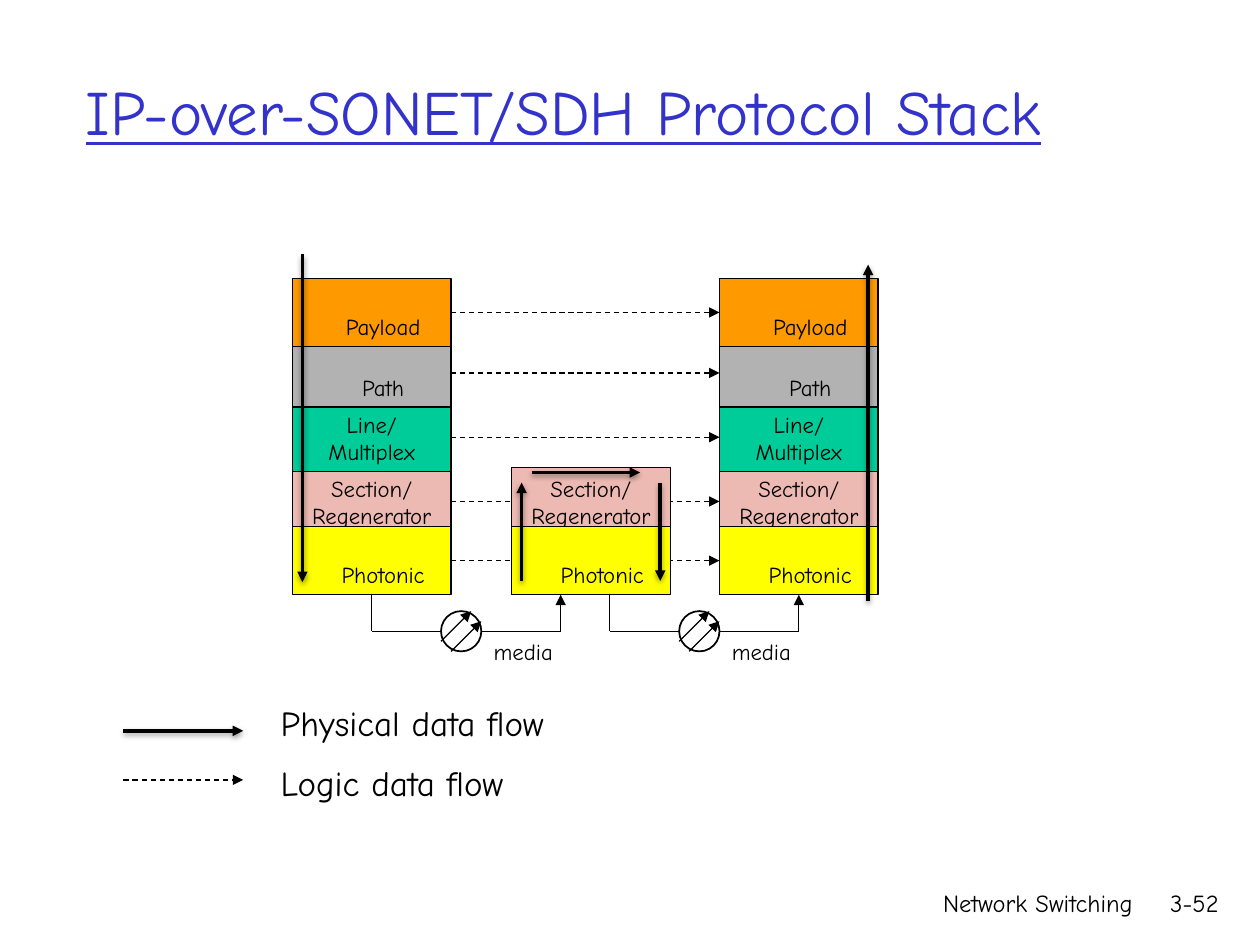
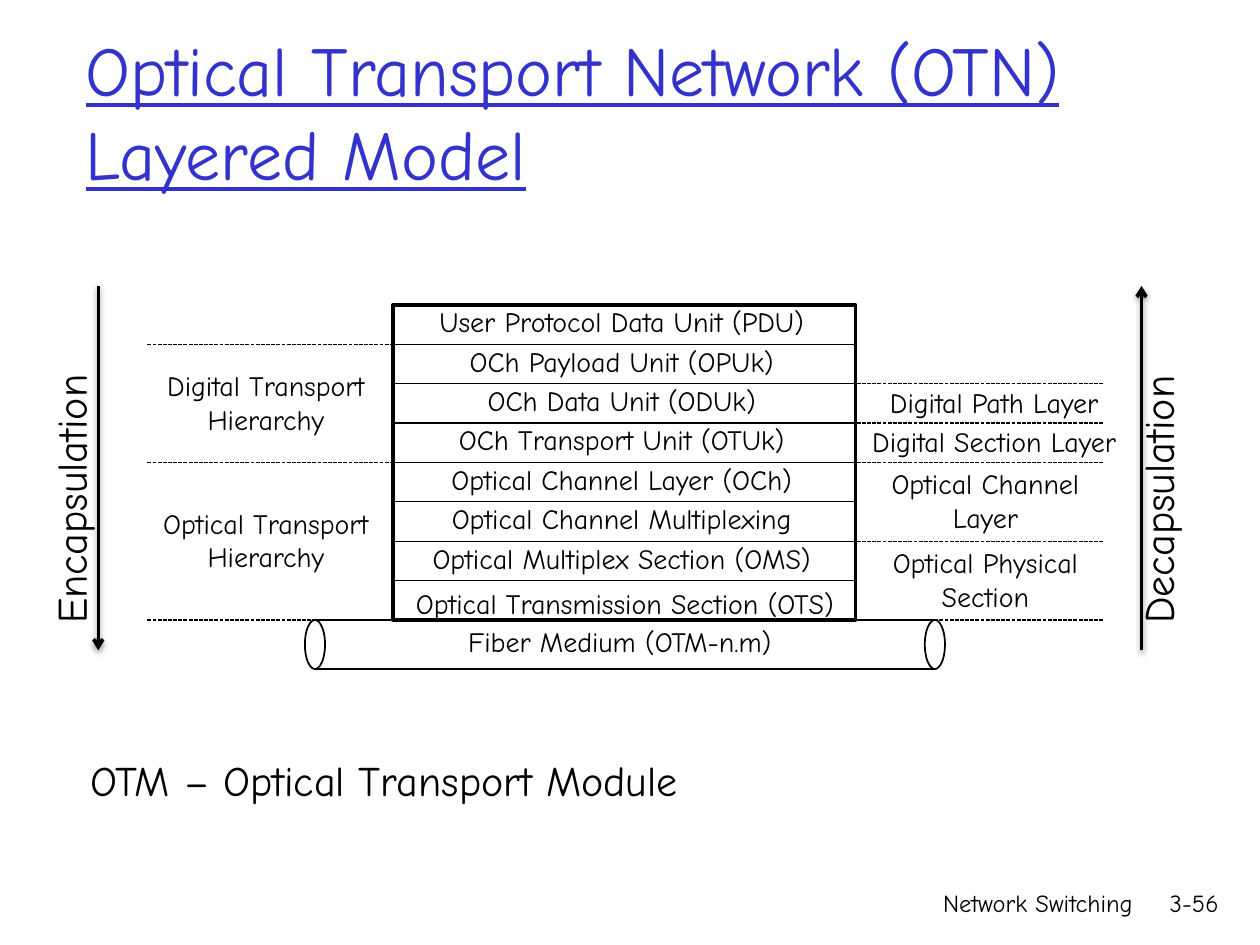
import dataclasses

import lxml.etree
import pptx
import pptx.dml.color
import pptx.enum.dml
import pptx.enum.shapes
import pptx.enum.text
import pptx.oxml.ns
import pptx.util

Inches, Pt = pptx.util.Inches, pptx.util.Pt
SHAPE = pptx.enum.shapes.MSO_SHAPE
DASH = pptx.enum.dml.MSO_LINE.DASH
FINE_DASH = pptx.enum.dml.MSO_LINE.SQUARE_DOT
ALIGN = pptx.enum.text.PP_ALIGN
ANCHOR = pptx.enum.text.MSO_ANCHOR
qn = pptx.oxml.ns.qn


@dataclasses.dataclass(frozen=True)
class Theme:
    font: str = "Comic Neue"
    ink: str = "000000"
    paper: str = "FFFFFF"
    title: str = "3333CC"
    payload: str = "FF9900"
    path_layer: str = "B2B2B2"
    line_layer: str = "00CC99"
    section: str = "ECBAB2"
    photonic: str = "FFFF00"
    layer_size: int = 13
    footer_size: int = 14
    model_size: int = 16
    legend_size: int = 20
    large_size: int = 24
    thin: float = 0.75
    outline: float = 1
    thick: float = 2


THEME = Theme()
FOOTER = "Network Switching"

# Slide 1: name, top, fill, shift of the label to the right
STACK = [
    ("Section/ Regenerator", 3.71, THEME.section, 0),
    ("Line/ Multiplex", 3.2, THEME.line_layer, 0),
    ("Path", 2.69, THEME.path_layer, 0.18),
    ("Payload", 2.21, THEME.payload, 0.18),
    ("Photonic", 4.18, THEME.photonic, 0.18),
]
REPEATER = [STACK[0], STACK[-1]]
LAYER_WIDTH, LAYER_HEIGHT = 1.26, 0.54
SENDER_X, REPEATER_X, RECEIVER_X = 2.32, 4.06, 5.71
LINK_STARTS, LINK_LENGTH = (2.95, 4.84), 1.5
LINK_Y, STACK_BOTTOM = 5.01, 4.72
PHYSICAL_FLOWS = [
    ((2.4, 2.02), (2.4, 4.62)),
    ((6.89, 4.77), (6.89, 2.1)),
    ((4.14, 4.61), (4.14, 3.83)),
    ((5.24, 3.83), (5.24, 4.61)),
    ((4.22, 3.75), (5.08, 3.75)),
    ((0.98, 5.8), (1.93, 5.8)),
]
LEGEND = ["Physical data flow", "Logic data flow"]

# Slide 2: rows from top to bottom, then the bands beside them
MODEL_ROWS = [
    "User Protocol Data Unit (PDU)",
    "OCh Payload Unit (OPUk)",
    "OCh Data Unit (ODUk)",
    "OCh Transport Unit (OTUk)",
    "Optical Channel Layer (OCh)",
    "Optical Channel Multiplexing",
    "Optical Multiplex Section (OMS)",
    "Optical Transmission Section (OTS)",
]
MODEL_X, MODEL_Y, MODEL_WIDTH, MODEL_HEIGHT = 3.12, 2.42, 3.67, 2.5
ROW_HEIGHT = MODEL_HEIGHT / len(MODEL_ROWS)
# name, first row boundary, last row boundary, centre, width
BANDS = [
    ("Digital Transport Hierarchy", 1, 4, 2.11, 2.19),
    ("Optical Transport Hierarchy", 4, 8, 2.11, 2.19),
    ("Digital Path Layer", 2, 3, 7.89, 2.81),
    ("Digital Section Layer", 3, 4, 7.89, 2.81),
    ("Optical Channel Layer", 4, 6, 7.82, 2.19),
    ("Optical Physical Section", 6, 8, 7.82, 2.19),
]
BAND_RULES = [(1.17, (1, 4, 8)), (6.8, (2, 3, 4, 6, 8))]
RULE_LENGTH = 1.95
FIBER_LEFT, FIBER_RIGHT, FIBER_HEIGHT, FIBER_END = 2.5, 7.42, 0.39, 0.16
# name, text left, arrow x, arrow start and end
PROCESSES = [
    ("Encapsulation", 0.25, 0.78, 2.27, 5.16),
    ("Decapsulation", 8.88, 9.06, 5.16, 2.27),
]


def color(value):
    return pptx.dml.color.RGBColor.from_string(value)


def style_text(frame, size, align=ALIGN.LEFT, ink=THEME.ink, underline=None):
    frame.word_wrap = True
    for para in frame.paragraphs:
        para.alignment = align
        for span in para.runs:
            span.font.name = THEME.font
            span.font.size = Pt(size)
            span.font.color.rgb = color(ink)
            span.font.underline = underline


def add_text(page, text, at, size, align=ALIGN.LEFT, anchor=ANCHOR.TOP):
    box = page.shapes.add_textbox(*map(Inches, at))
    box.text_frame.text = text
    box.text_frame.vertical_anchor = anchor
    style_text(box.text_frame, size, align)
    return box


def add_box(page, kind, at, fill, width):
    box = page.shapes.add_shape(kind, *map(Inches, at))
    box.shadow.inherit = False
    box.fill.solid()
    box.fill.fore_color.rgb = color(fill)
    box.line.color.rgb = color(THEME.ink)
    box.line.width = Pt(width)
    return box


def add_line(page, start, end, width=THEME.thin, dash=None, head=None, shadow=False):
    line = page.shapes.add_connector(
        pptx.enum.shapes.MSO_CONNECTOR.STRAIGHT, *map(Inches, (*start, *end)))
    line.line.color.rgb = color(THEME.ink)
    line.line.width = Pt(width)
    if dash:
        line.line.dash_style = dash
    properties = line.element.spPr
    if head:
        lxml.etree.SubElement(properties.find(qn("a:ln")), qn("a:tailEnd"), type=head)
    effects = lxml.etree.SubElement(properties, qn("a:effectLst"))
    if shadow:
        outer = lxml.etree.SubElement(
            effects, qn("a:outerShdw"), blurRad=str(Pt(3.1)), dist=str(Pt(1.6)),
            dir="5400000", rotWithShape="0")
        tint = lxml.etree.SubElement(outer, qn("a:srgbClr"), val=THEME.ink)
        lxml.etree.SubElement(tint, qn("a:alpha"), val="38000")
    return line


def add_flow(page, start, end, head="triangle"):
    """Draw a thick, shadowed arrow."""
    return add_line(page, start, end, THEME.thick, head=head, shadow=True)


def add_page(deck, title, title_size, title_width, number):
    page = deck.slides.add_slide(deck.slide_layouts[5])
    heading = page.shapes.title
    heading.left, heading.top = Inches(0.58), Inches(0.25)
    heading.width, heading.height = Inches(title_width), Inches(1.25)
    frame = heading.text_frame
    frame.text = title
    frame.auto_size = pptx.enum.text.MSO_AUTO_SIZE.NONE
    frame.vertical_anchor = ANCHOR.MIDDLE
    style_text(frame, title_size, ink=THEME.title, underline=True)
    add_text(page, FOOTER, (5.92, 7, 3.17, 0.5), THEME.footer_size, ALIGN.RIGHT)
    add_text(page, number, (8.98, 7, 0.79, 0.5), THEME.footer_size, ALIGN.RIGHT)
    return page


def add_stack(page, left, layers):
    boxes = []
    for name, top, fill, shift in layers:
        box = add_box(page, SHAPE.RECTANGLE, (left, top, LAYER_WIDTH, LAYER_HEIGHT),
                      fill, THEME.thin)
        frame = box.text_frame
        frame.text = name
        frame.vertical_anchor = ANCHOR.BOTTOM
        frame.margin_left = Inches(0.1 + shift)
        style_text(frame, THEME.layer_size, ALIGN.CENTER)
        boxes.append(box)
    return boxes


def add_media_link(page, left):
    """Draw one link between neighbouring stacks; return its two risers."""
    right = left + LINK_LENGTH
    down = add_line(page, (left, STACK_BOTTOM), (left, LINK_Y))
    add_line(page, (left, LINK_Y), (right, LINK_Y))
    up = add_line(page, (right, LINK_Y), (right, STACK_BOTTOM), head="triangle")
    x, y, size, step = left + 0.55, LINK_Y - 0.16, 0.32, 0.08
    add_box(page, SHAPE.OVAL, (x, y, size, size), THEME.paper, THEME.outline)
    for shift in (0, step):
        add_line(page, (x + shift, y + size - step + shift),
                 (x + size - step + shift, y + shift), head="triangle")
    add_text(page, "media", (left + 0.87, LINK_Y, 0.79, 0.32), THEME.layer_size)
    return down, up


def build_protocol_stack(deck):
    page = add_page(deck, "IP-over-SONET/SDH Protocol Stack", 36, 9.05, "3-52")
    sender = add_stack(page, SENDER_X, STACK)
    receiver = add_stack(page, RECEIVER_X, STACK)
    for source, target in zip(sender, receiver):
        logic = add_line(page, (0, 0), (1, 1), dash=DASH, head="triangle")
        logic.begin_connect(source, 3)
        logic.end_connect(target, 1)
    add_stack(page, REPEATER_X, REPEATER)

    (first_down, _), (_, last_up) = [add_media_link(page, x) for x in LINK_STARTS]
    first_down.begin_connect(sender[-1], 2)
    last_up.end_connect(receiver[-1], 2)

    for start, end in PHYSICAL_FLOWS:
        add_flow(page, start, end)
    add_line(page, (0.98, 6.19), (1.93, 6.19), dash=DASH, head="triangle")
    legend = add_text(page, "\n".join(LEGEND), (2.13, 5.52, 3.13, 0.94),
                      THEME.legend_size)
    legend.text_frame.paragraphs[1].space_before = Pt(THEME.legend_size / 2)


def row_y(boundary):
    return MODEL_Y + boundary * ROW_HEIGHT


def build_layered_model(deck):
    page = add_page(deck, "Optical Transport Network (OTN) Layered Model", 40, 8.5,
                    "3-56")
    right = MODEL_X + MODEL_WIDTH
    bottom = row_y(len(MODEL_ROWS))
    add_box(page, SHAPE.RECTANGLE, (MODEL_X, MODEL_Y, MODEL_WIDTH, MODEL_HEIGHT),
            THEME.paper, THEME.thick)
    for index, name in enumerate(MODEL_ROWS):
        last = index == len(MODEL_ROWS) - 1
        box = add_text(page, name, (MODEL_X, row_y(index), 3.63, 0.33),
                       THEME.model_size, ALIGN.CENTER)
        frame = box.text_frame
        frame.margin_left = Inches(0.05 if last else 0)
        frame.margin_top = Inches(0.05 if last else 0)
        frame.margin_right = frame.margin_bottom = 0
        if index:
            add_line(page, (MODEL_X, row_y(index)), (right, row_y(index)))

    for y in (bottom, bottom + FIBER_HEIGHT):
        add_line(page, (FIBER_LEFT, y), (FIBER_RIGHT, y))
    for x in (FIBER_LEFT, FIBER_RIGHT):
        add_box(page, SHAPE.OVAL, (x - FIBER_END / 2, bottom, FIBER_END, FIBER_HEIGHT),
                THEME.paper, THEME.outline)
    add_text(page, "Fiber Medium (OTM-n.m)", (3.2, 4.91, 3.44, 0.37),
             THEME.model_size, ALIGN.CENTER)

    for left, boundaries in BAND_RULES:
        for boundary in boundaries:
            y = row_y(boundary)
            add_line(page, (left, y), (left + RULE_LENGTH, y), dash=FINE_DASH)
    for name, first, last, center, width in BANDS:
        height = 0.64 if last - first > 1 else 0.37
        middle = row_y((first + last) / 2) - 0.01
        add_text(page, name, (center - width / 2, middle - height / 2, width, height),
                 THEME.model_size, ALIGN.CENTER, ANCHOR.MIDDLE)

    for name, left, arrow_x, start, end in PROCESSES:
        add_flow(page, (arrow_x, start), (arrow_x, end), "arrow")
        box = add_text(page, name, (left, 2.81, 0.61, 2.24), THEME.large_size,
                       anchor=ANCHOR.MIDDLE)
        box.element.find(".//" + qn("a:bodyPr")).set("vert", "vert270")
    add_text(page, "OTM – Optical Transport Module", (0.62, 5.94, 7.57, 0.5),
             THEME.large_size)


def main():
    deck = pptx.Presentation()
    deck.slide_width, deck.slide_height = Inches(10), Inches(7.5)
    build_protocol_stack(deck)
    build_layered_model(deck)
    deck.save("out.pptx")


if __name__ == "__main__":
    main()
